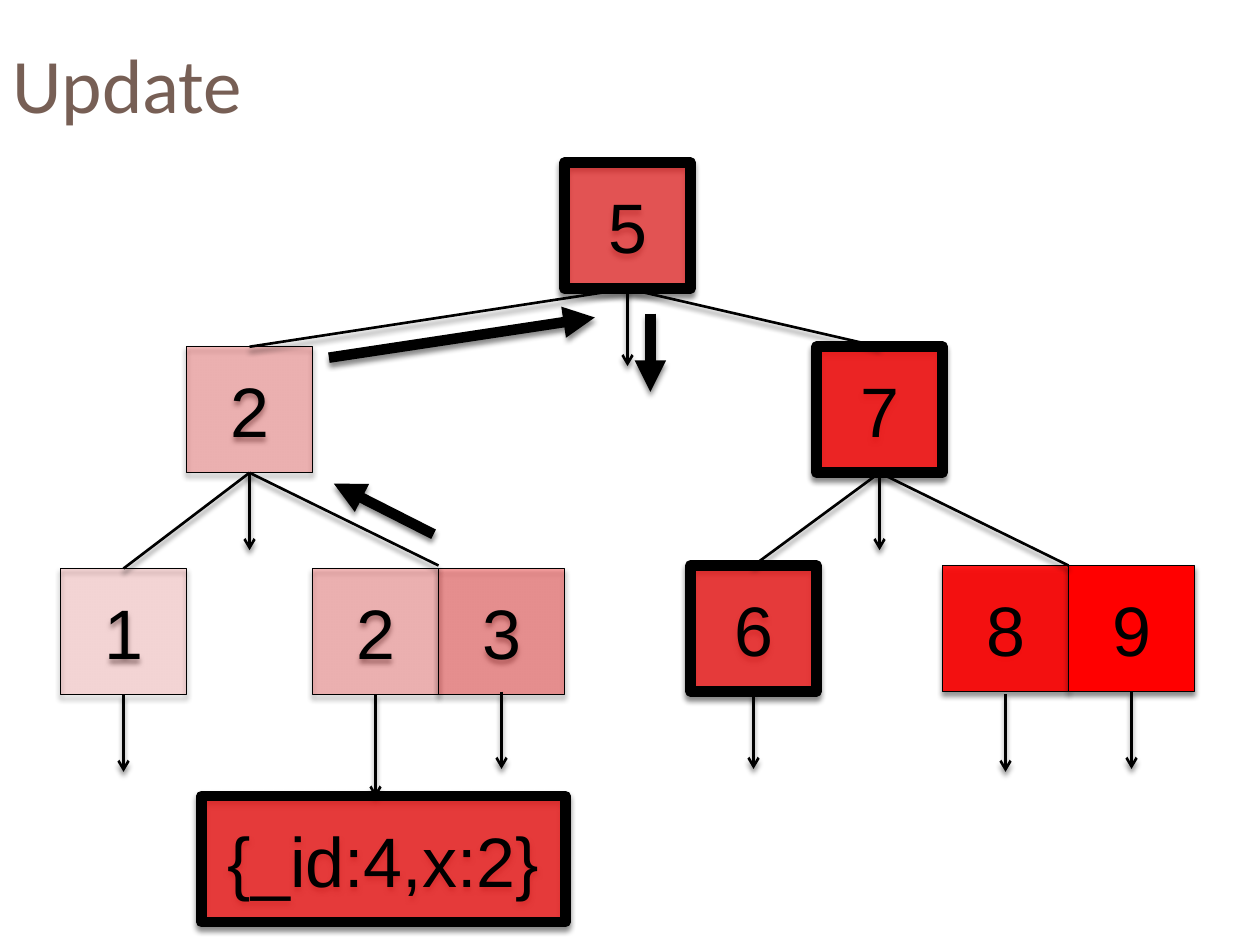
from lxml.etree import SubElement
from pptx import Presentation
from pptx.dml.color import RGBColor
from pptx.enum.shapes import MSO_CONNECTOR as Connector
from pptx.enum.shapes import MSO_SHAPE as Shape
from pptx.enum.text import MSO_ANCHOR as Anchor
from pptx.enum.text import PP_ALIGN as Align
from pptx.oxml.ns import qn
from pptx.util import Cm, Pt

BLACK, RED, BROWN = "000000", "FF0000", "775F55"
SIDE = 2.54
LEFT = 1.22
ROOT, MIDDLE, LEFT_LEAF, RIGHT_LEAF = 3.28, 6.99, 11.46, 11.4
THIN, THICK = 0.79, 6
STUB = 1.56

# label, column, top, fill opacity in percent, border width
NODES = [
    ("1", 0, LEFT_LEAF, 12, THIN),
    ("2", 1, MIDDLE, 23, THIN),
    ("2", 2, LEFT_LEAF, 23, THIN),
    ("3", 3, LEFT_LEAF, 34, THIN),
    ("5", 4, ROOT, 56, THICK),
    ("6", 5, RIGHT_LEAF, 67, THICK),
    ("7", 6, MIDDLE, 78, THICK),
    ("8", 7, RIGHT_LEAF, 89, THIN),
    ("9", 8, RIGHT_LEAF, 100, THIN),
]

# parent column, parent top, child column, child top; half columns are joints
BRANCHES = [
    (1, MIDDLE, 0, LEFT_LEAF),
    (4, ROOT, 1, MIDDLE),
    (4, ROOT, 6, MIDDLE),
    (1, MIDDLE, 2.5, RIGHT_LEAF),
    (6, MIDDLE, 7.5, RIGHT_LEAF),
    (6, MIDDLE, 5, RIGHT_LEAF),
]

# column, top of the arrow, length
POINTERS = [
    (0, LEFT_LEAF + SIDE, STUB),
    (1, MIDDLE + SIDE, STUB),
    (4, ROOT + SIDE, STUB),
    (2, LEFT_LEAF + SIDE, 2.08),
    (3, RIGHT_LEAF + SIDE, STUB),
    (6, MIDDLE + SIDE, STUB),
    (7, LEFT_LEAF + SIDE, STUB),
    (8, RIGHT_LEAF + SIDE, STUB),
    (5, RIGHT_LEAF + SIDE, STUB),
]

# start and end of the thick arrows along the search route
ROUTE = [
    ((8.74, 10.77), (6.73, 9.75)),
    ((6.63, 7.21), (11.99, 6.4)),
    ((13.11, 6.32), (13.11, 7.9)),
]


def color(hex_string):
    return RGBColor.from_string(hex_string)


def column_center(column):
    return LEFT + (column + 0.5) * SIDE


def add_shadow(shape):
    """Add a soft shadow straight below; call after the line is set."""
    effects = SubElement(shape._element.spPr, qn("a:effectLst"))
    shadow = SubElement(effects, qn("a:outerShdw"), blurRad=str(Pt(3)),
                        dist=str(Pt(2.4)), dir="5400000", rotWithShape="0")
    shadow_color = SubElement(shadow, qn("a:srgbClr"), val=BLACK)
    SubElement(shadow_color, qn("a:alpha"), val="45000")


def format_line(line, width):
    line.color.rgb = color(BLACK)
    line.width = Pt(width)


def add_run(paragraph, text, font_name, size, hex_string):
    run = paragraph.add_run()
    run.text = text
    run.font.name = font_name
    run.font.size = Pt(size)
    run.font.color.rgb = color(hex_string)


def add_title(slide, text):
    title = slide.shapes.title
    title.left, title.top = Cm(0), Cm(0.08)
    title.width, title.height = Cm(22.86), Cm(3.18)
    title.text_frame.vertical_anchor = Anchor.MIDDLE
    paragraph = title.text_frame.paragraphs[0]
    paragraph.alignment = Align.LEFT
    add_run(paragraph, text, "Calibri", 44, BROWN)


def add_box(slide, text, left, top, width, opacity, border):
    box = slide.shapes.add_shape(Shape.RECTANGLE, Cm(left), Cm(top), Cm(width), Cm(SIDE))
    box.fill.solid()
    box.fill.fore_color.rgb = color(RED)
    if opacity < 100:
        fill_color = box._element.spPr.find(qn("a:solidFill"))[0]
        SubElement(fill_color, qn("a:alpha"), val=str(opacity * 1000))
    format_line(box.line, border)
    add_shadow(box)
    box.text_frame.vertical_anchor = Anchor.MIDDLE
    paragraph = box.text_frame.paragraphs[0]
    paragraph.alignment = Align.CENTER
    add_run(paragraph, text, "Arial", 40, BLACK)


def add_line(slide, start, end, width=1.5, arrowhead=None):
    points = [Cm(value) for value in (*start, *end)]
    connector = slide.shapes.add_connector(Connector.STRAIGHT, *points)
    format_line(connector.line, width)
    if arrowhead:
        SubElement(connector.line._get_or_add_ln(), qn("a:tailEnd"), type=arrowhead)
    add_shadow(connector)


def main():
    presentation = Presentation()
    presentation.slide_width, presentation.slide_height = Cm(25.4), Cm(19.05)
    slide = presentation.slides.add_slide(presentation.slide_layouts[5])

    add_title(slide, "Update")
    for label, column, top, opacity, border in NODES:
        add_box(slide, label, LEFT + column * SIDE, top, SIDE, opacity, border)
    for parent, parent_top, child, child_top in BRANCHES:
        add_line(slide, (column_center(parent), parent_top + SIDE),
                 (column_center(child), child_top))
    for column, top, length in POINTERS:
        x = column_center(column)
        add_line(slide, (x, top), (x, top + length), arrowhead="arrow")
    add_box(slide, "{_id:4,x:2}", 4.06, 16.05, 7.34, 67, THICK)
    for start, end in ROUTE:
        add_line(slide, start, end, THICK, "triangle")

    presentation.save("out.pptx")


if __name__ == "__main__":
    main()
